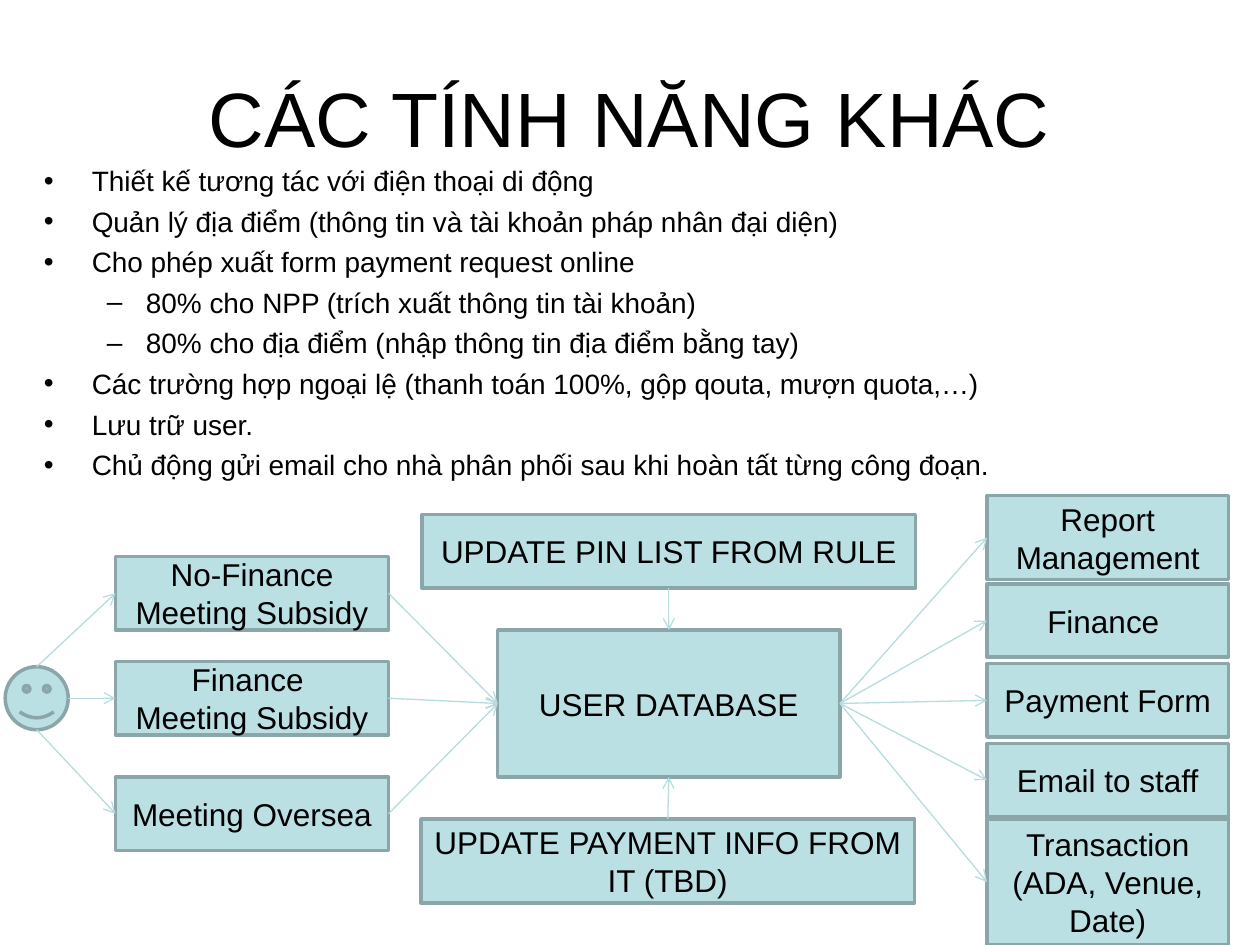
from lxml import etree
from pptx import Presentation
from pptx.dml.color import RGBColor
from pptx.enum.shapes import MSO_CONNECTOR as Connector, MSO_SHAPE as Preset
from pptx.enum.text import MSO_ANCHOR as Anchor, MSO_AUTO_SIZE as AutoSize, PP_ALIGN as Align
from pptx.oxml.ns import qn
from pptx.util import Inches, Pt

COLORS = {"ink": "000000", "node": "BBE0E3", "edge": "8AA6A8", "arrow": "B6DCDF"}
COLUMNS, ROWS = 120, 90
TOP, LEFT, BOTTOM, RIGHT = range(4)

prs = Presentation()
prs.slide_width, prs.slide_height = Inches(10), Inches(7.5)
CELL_W, CELL_H = prs.slide_width / COLUMNS, prs.slide_height / ROWS

FONT = {"name": "Arial"}
TITLE_FRAME = {"word_wrap": True, "auto_size": AutoSize.NONE, "vertical_anchor": Anchor.MIDDLE}
BODY_FRAME = {**TITLE_FRAME, "vertical_anchor": Anchor.TOP}
BULLETS = [("•", 0.38, -0.38), ("–", 0.81, -0.31)]

FEATURES = [
    (0, "Thiết kế tương tác với điện thoại di động"),
    (0, "Quản lý địa điểm (thông tin và tài khoản pháp nhân đại diện)"),
    (0, "Cho phép xuất form payment request online"),
    (1, "80% cho NPP (trích xuất thông tin tài khoản)"),
    (1, "80% cho địa điểm (nhập thông tin địa điểm bằng tay)"),
    (0, "Các trường hợp ngoại lệ (thanh toán 100%, gộp qouta, mượn quota,…)"),
    (0, "Lưu trữ user."),
    (0, "Chủ động gửi email cho nhà phân phối sau khi hoàn tất từng công đoạn."),
]
MEETINGS = [
    (0, 7, "No-Finance Meeting Subsidy"),
    (10, 7, "Finance \nMeeting Subsidy"),
    (21, 7, "Meeting Oversea"),
]
OUTPUTS = [
    (0, 8, "Report Management"),
    (8.4, 7, "Finance "),
    (16, 7, "Payment Form"),
    (23.6, 7, "Email to staff"),
    (30.8, 12, "Transaction\n(ADA, Venue, Date)"),
]


def to_emu(box):
    x, y, width, height = box
    return [round(v) for v in (x * CELL_W, y * CELL_H, width * CELL_W, height * CELL_H)]


def apply(target, formats):
    for key, value in formats.items():
        setattr(target, key, value)


def color(name):
    return RGBColor.from_string(COLORS[name])


def set_font(paragraph, size):
    apply(paragraph.font, {**FONT, "size": Pt(size)})
    paragraph.font.color.rgb = color("ink")


def add_title(slide, box, wording):
    title = slide.shapes.title
    apply(title, dict(zip(("left", "top", "width", "height"), to_emu(box))))
    apply(title.text_frame, {**TITLE_FRAME, "text": wording})
    heading = title.text_frame.paragraphs[0]
    heading.alignment = Align.CENTER
    set_font(heading, 44)


def add_features(slide, box):
    frame = slide.shapes.add_textbox(*to_emu(box)).text_frame
    apply(frame, {**BODY_FRAME, "text": "\n".join(wording for _, wording in FEATURES)})
    for index, (feature, (level, _)) in enumerate(zip(frame.paragraphs, FEATURES)):
        mark, margin, indent = BULLETS[level]
        feature.level = level
        properties = feature._p.get_or_add_pPr()
        properties.set("marL", str(Inches(margin)))
        properties.set("indent", str(Inches(indent)))
        etree.SubElement(properties, qn("a:buFont")).set("typeface", FONT["name"])
        etree.SubElement(properties, qn("a:buChar")).set("char", mark)
        if index:
            feature.space_before = Pt(4)
        set_font(feature, 16)


def add_node(slide, box, label="", preset=Preset.RECTANGLE):
    node = slide.shapes.add_shape(preset, *to_emu(box))
    node.shadow.inherit = False
    node.fill.solid()
    node.fill.fore_color.rgb = color("node")
    node.line.color.rgb = color("edge")
    node.line.width = Pt(2)
    if label:
        apply(node.text_frame, {**TITLE_FRAME, "text": label})
        for line in node.text_frame.paragraphs:
            line.alignment = Align.CENTER
            set_font(line, 18)
    return node


def add_column(slide, box, entries):
    x, y, width, _ = box
    return [add_node(slide, (x, y + offset, width, height), label)
            for offset, height, label in entries]


def add_arrow(slide, target, target_side, source=None, source_side=None, start=(0, 0)):
    arrow = slide.shapes.add_connector(Connector.STRAIGHT, *start, 0, 0)
    if source is not None:
        arrow.begin_connect(source, source_side)
    arrow.end_connect(target, target_side)
    arrow.line.color.rgb = color("arrow")
    arrow.line.width = Pt(0.75)
    etree.SubElement(arrow.line._get_or_add_ln(), qn("a:tailEnd")).set("type", "arrow")
    etree.SubElement(arrow._element.spPr, qn("a:effectLst"))


def add_database(slide, box):
    x, y, width, height = box
    database = add_node(slide, (x + 7.2, y + 11, 32.6, 14), "USER DATABASE")
    pin_list = add_node(slide, (x, y, width, 7), "UPDATE PIN LIST FROM RULE")
    payment = add_node(slide, (x - 0.1, y + height - 8, width, 8),
                       "UPDATE PAYMENT INFO FROM IT (TBD)")
    add_arrow(slide, database, TOP, pin_list, BOTTOM)
    add_arrow(slide, database, BOTTOM, payment, TOP)
    return database


def add_user(slide, box, meetings):
    user = add_node(slide, box, preset=Preset.SMILEY_FACE)
    middle_x, middle_y = user.left + user.width // 2, user.top + user.height // 2
    starts = [(middle_x, user.top), (user.left + user.width, middle_y),
              (middle_x, user.top + user.height)]
    for meeting, start in zip(meetings, starts):
        add_arrow(slide, meeting, LEFT, start=start)


def main():
    slide = prs.slides.add_slide(prs.slide_layouts[5])
    add_title(slide, (6, 3.6, 108, 15), "CÁC TÍNH NĂNG KHÁC")
    add_features(slide, (3, 15, 117, 34))
    meetings = add_column(slide, (11, 53, 26, 28), MEETINGS)
    database = add_database(slide, (40.2, 49, 47, 37))
    outputs = add_column(slide, (94, 47.2, 23, 42.8), OUTPUTS)
    for meeting in meetings:
        add_arrow(slide, database, LEFT, meeting, RIGHT)
    for output in outputs:
        add_arrow(slide, output, LEFT, database, RIGHT)
    add_user(slide, (0.5, 63.5, 6, 6), meetings)
    prs.save("out.pptx")


if __name__ == "__main__":
    main()
